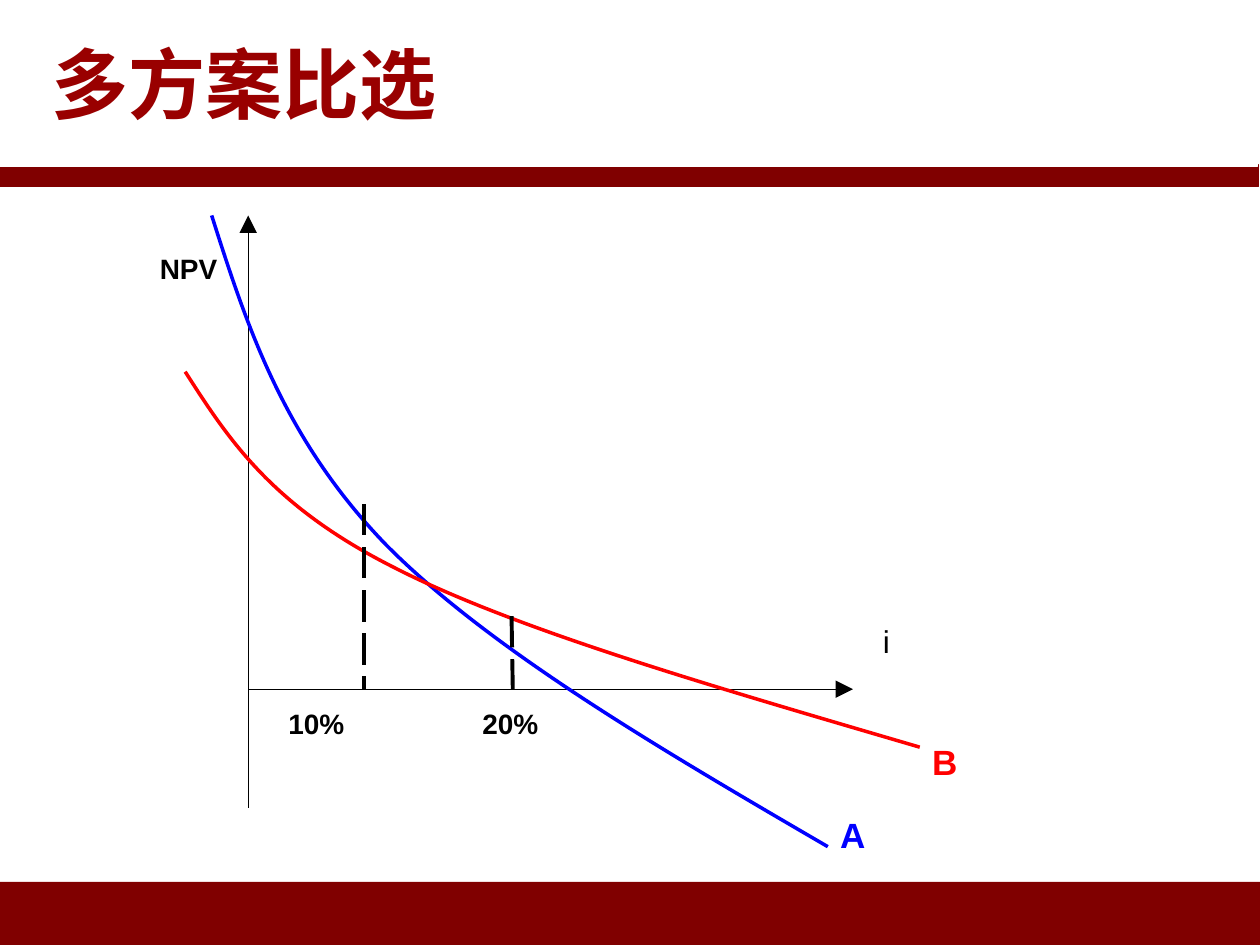
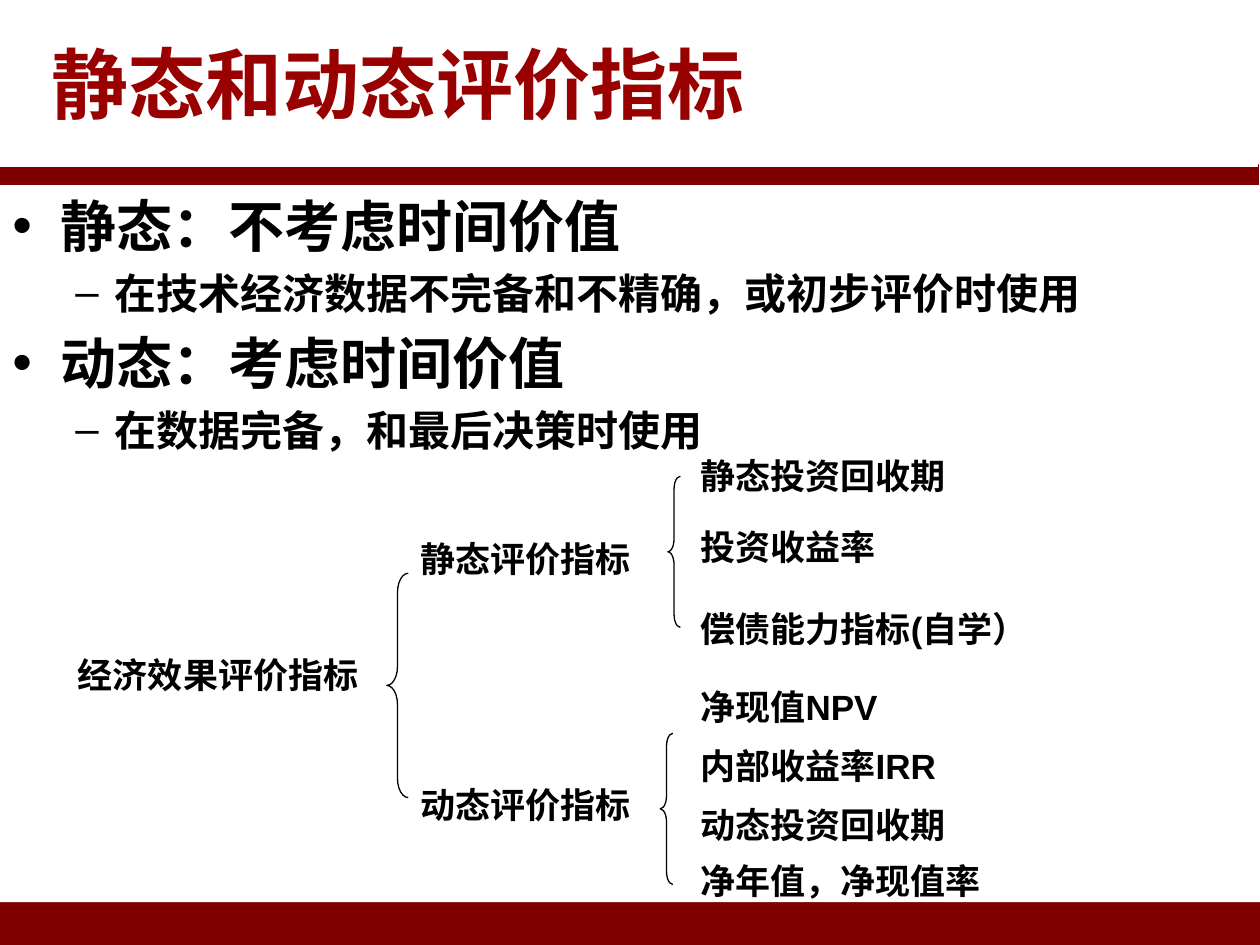
from pptx import Presentation
from pptx import util as u
from pptx.dml.color import RGBColor
from pptx.enum import dml, shapes, text
from pptx.oxml.ns import qn
from lxml import etree

Inches = u.Inches
FONT = "Arial"
COLORS = {"band": "800000", "title": "990000", "ink": "000000",
          "paper": "FFFFFF", "plan_a": "0000FF", "plan_b": "FF0000"}

# Bands behind every slide: left, top, width, height, colour, outlined
BANDS = [(0, 7, 10, 0.5, "band", False),
         (-0.01, 1.31, 10, 0.17, "band", True),
         (-0.02, 0.01, 10, 1.31, "paper", True)]

# Slide 1: net present value against discount rate
CHART_TITLE = "多方案比选"
ORIGIN_X, AXIS_Y = 1.97, 5.47
AXES = [((ORIGIN_X, AXIS_Y), (6.77, AXIS_Y)), ((ORIGIN_X, 6.41), (ORIGIN_X, 1.71))]
RATE_MARKS = [((2.89, 4), (2.89, AXIS_Y)), ((4.06, 4.89), (4.07, AXIS_Y))]
# Each curve: start point, then Bezier segments (two controls and an end)
CURVES = [
    ("plan_a", (1.68, 1.71), [((1.96, 2.59), (2.25, 3.48), (3.06, 4.32)),
                              ((3.88, 5.15), (5.23, 5.94), (6.57, 6.72))]),
    ("plan_b", (1.47, 2.95), [((1.81, 3.48), (2.15, 4.01), (3.12, 4.5)),
                              ((4.09, 5), (5.7, 5.46), (7.3, 5.93))]),
]
# Text, left, top, width, size, colour, bold
CHART_LABELS = [("NPV", 1.17, 1.95, 0.8, 16, "ink", True),
                ("i", 6.91, 4.89, 0.4, 18, "ink", False),
                ("A", 6.57, 6.41, 0.6, 20, "plan_a", True),
                ("B", 7.3, 5.83, 0.6, 20, "plan_b", True),
                ("10%", 2.19, 5.56, 0.67, 16, "ink", True),
                ("20%", 3.73, 5.56, 0.67, 16, "ink", True)]

# Slide 2: bullets and the tree of indicators
TREE_TITLE = "静态和动态评价指标"
BULLETS = [(0, "静态：不考虑时间价值"),
           (1, "在技术经济数据不完备和不精确，或初步评价时使用"),
           (0, "动态：考虑时间价值"),
           (1, "在数据完备，和最后决策时使用")]
# Per level: bullet, size, left margin, hanging indent
LEVELS = [("•", 32, 0.38, 0.38), ("–", 24, 0.81, 0.31)]
ROOT = ("经济效果评价指标", 5.14, 3.07)
BRANCHES = [("静态评价指标", 4.22, 2.06), ("动态评价指标", 6.17, 2.06)]
LEAVES = [("静态投资回收期", 3.56, 2.29), ("投资收益率", 4.12, 2.29),
          ("偿债能力指标(自学）", 4.77, 3.19),
          ("净现值NPV", 5.39, 2.29), ("内部收益率IRR", 5.86, 2.29),
          ("动态投资回收期", 6.33, 2.29), ("净年值，净现值率", 6.77, 2.88)]
# Left edge and nodes (text, top, width) of each column
TREE_COLUMNS = [(0.52, [ROOT]), (3.24, BRANCHES), (5.46, LEAVES)]
# Left, top, width, height, curl
BRACES = [(3.07, 4.55, 0.17, 1.78, 0.891),
          (5.3, 3.78, 0.1, 1.2, 1.031),
          (5.24, 5.82, 0.1, 1.2, 1.031)]


def color(name):
    return RGBColor.from_string(COLORS[name])


def fill_with(shape, name):
    shape.fill.solid()
    shape.fill.fore_color.rgb = color(name)


def set_line(shape, name, width):
    shape.line.color.rgb = color(name)
    shape.line.width = u.Pt(width)


def add_span(para, words, size, name="ink", bold=True):
    span = para.add_run()
    span.text = words
    span.font.name = FONT
    span.font.size = u.Pt(size)
    span.font.bold = bold
    span.font.color.rgb = color(name)


def add_box(page, left, top, width, height):
    box = page.shapes.add_textbox(*map(Inches, (left, top, width, height)))
    box.text_frame.word_wrap = True
    return box


def add_label(page, words, left, top, width, size=20, name="ink", bold=True):
    box = add_box(page, left, top, width, 0.1 + size / 60)
    box.text_frame.auto_size = text.MSO_AUTO_SIZE.SHAPE_TO_FIT_TEXT
    add_span(box.text_frame.paragraphs[0], words, size, name, bold)


def add_page(deck, title):
    """Add a slide with the shared bands and title."""
    page = deck.slides.add_slide(deck.slide_layouts[6])
    for left, top, width, height, name, outlined in BANDS:
        band = page.shapes.add_shape(shapes.MSO_SHAPE.RECTANGLE,
                                     *map(Inches, (left, top, width, height)))
        band.shadow.inherit = False
        fill_with(band, name)
        if outlined:
            set_line(band, name, 0.75)
        else:
            band.line.fill.background()
    box = add_box(page, 0.31, 0.01, 8.94, 1.29)
    fill_with(box, "paper")
    box.text_frame.vertical_anchor = text.MSO_ANCHOR.MIDDLE
    add_span(box.text_frame.paragraphs[0], title, 44, "title")
    return page


def add_line(page, start, end, width):
    line = page.shapes.add_connector(shapes.MSO_CONNECTOR.STRAIGHT,
                                     *map(Inches, start + end))
    set_line(line, "ink", width)
    etree.SubElement(line._element.spPr, qn("a:effectLst"))
    return line


def add_curve(page, name, start, segments):
    """Draw a freeform through the segment ends, then bend each side."""
    builder = page.shapes.build_freeform(*map(Inches, start))
    builder.add_line_segments([tuple(map(Inches, segment[-1])) for segment in segments],
                              close=False)
    curve = builder.convert_to_shape()
    sides = list(curve._element.iter(qn("a:lnTo")))
    for side, segment in zip(sides, segments):
        bend = etree.Element(qn("a:cubicBezTo"))
        for x, y in segment:
            etree.SubElement(bend, qn("a:pt"), x=str(Inches(x) - curve.left),
                             y=str(Inches(y) - curve.top))
        side.getparent().replace(side, bend)
    curve.shadow.inherit = False
    curve.fill.background()
    set_line(curve, name, 2)


def add_bullets(page):
    box = add_box(page, 0, 1.47, 10, 5.69)
    fill_with(box, "paper")
    frame = box.text_frame
    for index, (level, words) in enumerate(BULLETS):
        para = frame.add_paragraph() if index else frame.paragraphs[0]
        mark, size, margin, hanging = LEVELS[level]
        para.level = level
        if index:
            para.space_before = u.Pt(size * 0.2)
        props = para._p.get_or_add_pPr()
        props.set("marL", str(Inches(margin)))
        props.set("indent", str(-Inches(hanging)))
        etree.SubElement(props, qn("a:buFont"), typeface=FONT)
        etree.SubElement(props, qn("a:buChar"), char=mark)
        add_span(para, words, size)


def build_chart_page(deck):
    page = add_page(deck, CHART_TITLE)
    for start, end in AXES:
        axis = add_line(page, start, end, 0.75)
        etree.SubElement(axis.line._get_or_add_ln(), qn("a:tailEnd"),
                         type="triangle", w="lg", len="lg")
    for curve in CURVES:
        add_curve(page, *curve)
    for start, end in RATE_MARKS:
        add_line(page, start, end, 2.25).line.dash_style = dml.MSO_LINE.LONG_DASH
    for label in CHART_LABELS:
        add_label(page, *label)


def build_tree_page(deck):
    page = add_page(deck, TREE_TITLE)
    add_bullets(page)
    for left, nodes in TREE_COLUMNS:
        for words, top, width in nodes:
            add_label(page, words, left, top, width)
    for left, top, width, height, curl in BRACES:
        brace = page.shapes.add_shape(shapes.MSO_SHAPE.LEFT_BRACE,
                                      *map(Inches, (left, top, width, height)))
        brace.shadow.inherit = False
        brace.adjustments[0] = curl
        brace.fill.background()
        set_line(brace, "ink", 0.75)


def main():
    deck = Presentation()
    deck.slide_width, deck.slide_height = Inches(10), Inches(7.5)
    build_chart_page(deck)
    build_tree_page(deck)
    deck.save("out.pptx")


if __name__ == "__main__":
    main()
